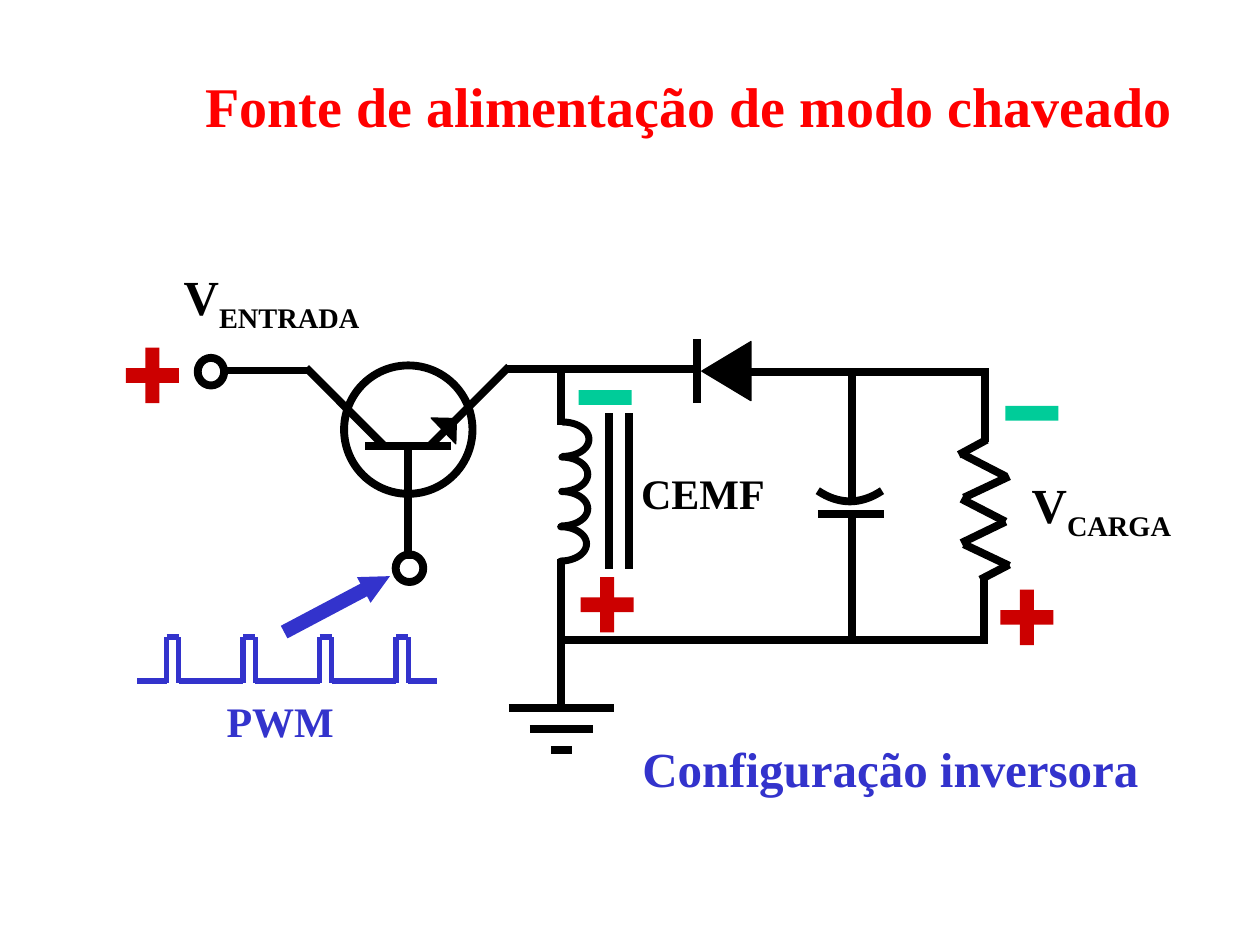
"""Build a slide with the circuit of an inverting switched-mode power supply."""
from math import cos, pi, sin

from lxml.etree import SubElement
from pptx import Presentation
from pptx.dml.color import RGBColor
from pptx.enum.shapes import MSO_CONNECTOR, MSO_SHAPE
from pptx.enum.text import MSO_ANCHOR, MSO_AUTO_SIZE, PP_ALIGN
from pptx.oxml.ns import qn
from pptx.util import Pt

BLACK = RGBColor(0x00, 0x00, 0x00)
RED = RGBColor(0xFF, 0x00, 0x00)
DARK_RED = RGBColor(0xCC, 0x00, 0x00)
GREEN = RGBColor(0x00, 0xCC, 0x99)
BLUE = RGBColor(0x33, 0x33, 0xCC)

STRAIGHT = MSO_CONNECTOR.STRAIGHT
ELLIPSE = MSO_SHAPE.OVAL
RECTANGLE = MSO_SHAPE.RECTANGLE
TRIANGLE = MSO_SHAPE.ISOSCELES_TRIANGLE
RIGHT_TRIANGLE = MSO_SHAPE.RIGHT_TRIANGLE
UP_ARROW = MSO_SHAPE.UP_ARROW
TOP = MSO_ANCHOR.TOP
LEFT = PP_ALIGN.LEFT
FIXED = MSO_AUTO_SIZE.NONE

WIRE_WIDTH = 4.5

WIRES = [
    (486.7, 293.8, 486.7, 365.8),
    (486.7, 284.4, 486.7, 212.4),
    (396, 211, 289.4, 211),
    (320.4, 242.6, 320.4, 211.7),
    (320.4, 319.7, 320.4, 403.2),
    (427.7, 212.4, 565.2, 212.4),
    (320.4, 365.8, 563.8, 365.8),
    (562.3, 330.5, 562.3, 367.9),
    (563, 252.7, 563, 211),
    (175.7, 211.7, 126.7, 211.7),
]
TRANSISTOR = [
    (246.2, 254.2, 290.9, 209.5),
    (208.8, 254.9, 257.8, 254.9),
    (219.6, 254.9, 175, 210.2),
    (233.3, 256.3, 233.3, 319.7),
]
RESISTOR = [
    (574.6, 298.1, 549.4, 310.3),
    (576.7, 272.2, 550.8, 284.4),
    (549.4, 285.1, 574.6, 298.1),
    (549.4, 259.2, 574.6, 272.2),
    (550.8, 311, 576.7, 323.3),
]
RESISTOR_ENDS = [
    (563.8, 251.3, 547.9, 259.9),
    (576.7, 322.6, 560.2, 331.2),
]
COIL_TURNS = [(320.4, 301), (321.1, 280.9), (321.1, 261.2), (321.8, 241.2)]


def add_line(slide, ends, color=BLACK, width=WIRE_WIDTH):
    """Draw a straight line between two points."""
    line = slide.shapes.add_connector(STRAIGHT, *map(Pt, ends))
    line.line.color.rgb = color
    line.line.width = Pt(width)
    SubElement(line._element.spPr, qn("a:effectLst"))


def add_solid(slide, kind, box, color, rotation=0, adjustments=()):
    """Draw a filled shape without outline."""
    solid = slide.shapes.add_shape(kind, *map(Pt, box))
    solid.shadow.inherit = False
    solid.rotation = rotation
    for index, value in enumerate(adjustments):
        solid.adjustments[index] = value
    solid.fill.solid()
    solid.fill.fore_color.rgb = color
    solid.line.fill.background()
    return solid


def add_arrowhead(slide, kind, box, rotation):
    """Draw a black semiconductor triangle with a thin outline."""
    head = add_solid(slide, kind, box, BLACK, rotation)
    head.line.color.rgb = BLACK
    head.line.width = Pt(0.75)


def add_ring(slide, box):
    """Draw an unfilled ellipse."""
    ring = slide.shapes.add_shape(ELLIPSE, *map(Pt, box))
    ring.shadow.inherit = False
    ring.fill.background()
    ring.line.color.rgb = BLACK
    ring.line.width = Pt(WIRE_WIDTH)


def add_curve(slide, points, width=WIRE_WIDTH, cap="flat"):
    """Draw an open outline through the points."""
    start, *rest = [(Pt(x), Pt(y)) for x, y in points]
    builder = slide.shapes.build_freeform(*start)
    builder.add_line_segments(rest, close=False)
    curve = builder.convert_to_shape()
    curve.shadow.inherit = False
    curve.fill.background()
    curve.line.color.rgb = BLACK
    curve.line.width = Pt(width)
    curve._element.spPr.find(qn("a:ln")).set("cap", cap)


def add_coil(slide):
    """Draw the inductor turns and its two core bars."""
    width, height, steps = 14.8, 19.6, 24
    for left, top in COIL_TURNS:
        angles = [pi * step / steps for step in range(steps + 1)]
        add_curve(slide, [(left + width * sin(a), top + height / 2 * (1 + cos(a)))
                          for a in angles], 4, "rnd")
    for x in (347.8, 359.3):
        add_line(slide, (x, 236.2, x, 325.4))


def add_capacitor(slide):
    """Draw the flat and the curved plate."""
    left, top, width, depth, steps = 467.3, 280.4, 36.7, 6.1, 16
    add_line(slide, (467.3, 293.8, 505.4, 293.8))
    add_curve(slide, [(left + width * step / steps,
                       top + depth * (1 - (2 * step / steps - 1) ** 2))
                      for step in range(steps + 1)])


def add_ground(slide):
    """Draw the three shrinking ground bars."""
    for level, half_width in enumerate((30, 18, 6)):
        y = 404.6 + 11.9 * level
        add_line(slide, (320.8 - half_width, y, 320.8 + half_width, y))


def add_pulses(slide):
    """Draw the PWM pulse train."""
    first, pitch, pulse_width, high, low = 95.2, 43.7, 7, 364, 389.2
    base_start = 78.5
    for index in range(4):
        rise = first + pitch * index
        fall = rise + pulse_width
        for ends in ((base_start, low, rise, low), (rise, low + 1, rise, high),
                     (rise, high, fall, high), (fall, low + 1, fall, high)):
            add_line(slide, ends, BLUE, 3)
        base_start = fall
    add_line(slide, (base_start, low, 249.8, low), BLUE, 3)


def add_sign(slide, center_x, center_y, color, positive):
    """Draw a polarity sign around its centre."""
    bars = [(30.4, 8.4)] + [(8, 31.7)] * positive
    for width, height in bars:
        box = (center_x - width / 2, center_y - height / 2, width, height)
        add_solid(slide, RECTANGLE, box, color)


def write_text(holder, box, text, size, color, subscript=""):
    """Place a text holder and write bold text with an optional subscript."""
    holder.left, holder.top, holder.width, holder.height = map(Pt, box)
    frame = holder.text_frame
    layout = {"word_wrap": True, "auto_size": FIXED, "vertical_anchor": TOP,
              "margin_right": 0}
    for name, value in layout.items():
        setattr(frame, name, value)
    paragraph = frame.paragraphs[0]
    paragraph.alignment = LEFT
    style = {"name": "Times New Roman", "size": Pt(size), "bold": True}
    for part in filter(None, (text, subscript)):
        run = paragraph.add_run()
        run.text = part
        for name, value in style.items():
            setattr(run.font, name, value)
        run.font.color.rgb = color
    if subscript:
        run._r.get_or_add_rPr().set("baseline", "-25000")


def main():
    """Assemble and save the slide."""
    deck = Presentation()
    deck.slide_width, deck.slide_height = Pt(720), Pt(540)
    slide = deck.slides.add_slide(deck.slide_layouts[5])
    write_text(slide.shapes.title, (110.2, 37.4, 566.6, 46.1),
               "Fonte de alimentação de modo chaveado", 32, RED)

    add_capacitor(slide)
    add_coil(slide)
    for ends in WIRES + TRANSISTOR + RESISTOR:
        add_line(slide, ends)
    for x1, y1, x2, y2 in RESISTOR_ENDS:
        add_curve(slide, [(x1, y1), (x2, y2)])
    add_ground(slide)
    for box in ((196.6, 208.8, 73.4, 73.4), (113, 204.5, 15.1, 15.8),
                (226.1, 316.8, 15.8, 15.8)):
        add_ring(slide, box)
    add_arrowhead(slide, RIGHT_TRIANGLE, (246.2, 239, 14.4, 14.4), 181.3)
    add_arrowhead(slide, TRIANGLE, (398.2, 198, 33.8, 28.1), 270)
    add_line(slide, (398.2, 230.4, 398.2, 193.7))

    add_pulses(slide)
    add_solid(slide, UP_ARROW, (184.3, 311, 16.6, 68.4), BLUE, 62.1, (0.49, 1.02))
    for sign in ((87.1, 214.6, DARK_RED, True), (586.8, 352.8, DARK_RED, True),
                 (347, 345.6, DARK_RED, True), (589.7, 236.2, GREEN, False),
                 (345.8, 227.2, GREEN, False)):
        add_sign(slide, *sign)

    for box, *label in (
        ((360, 418.3, 297.4, 41), "Configuração inversora", 28, BLUE),
        ((122.4, 393.8, 75.6, 36), "PWM", 24, BLUE),
        ((97.9, 149, 114.5, 45.4), "V", 28, BLACK, "ENTRADA"),
        ((582.5, 267.8, 93.6, 45.4), "V", 28, BLACK, "CARGA"),
        ((359.3, 263.5, 85, 36), "CEMF", 24, BLACK),
    ):
        write_text(slide.shapes.add_textbox(*map(Pt, box)), box, *label)
    deck.save("out.pptx")


if __name__ == "__main__":
    main()
